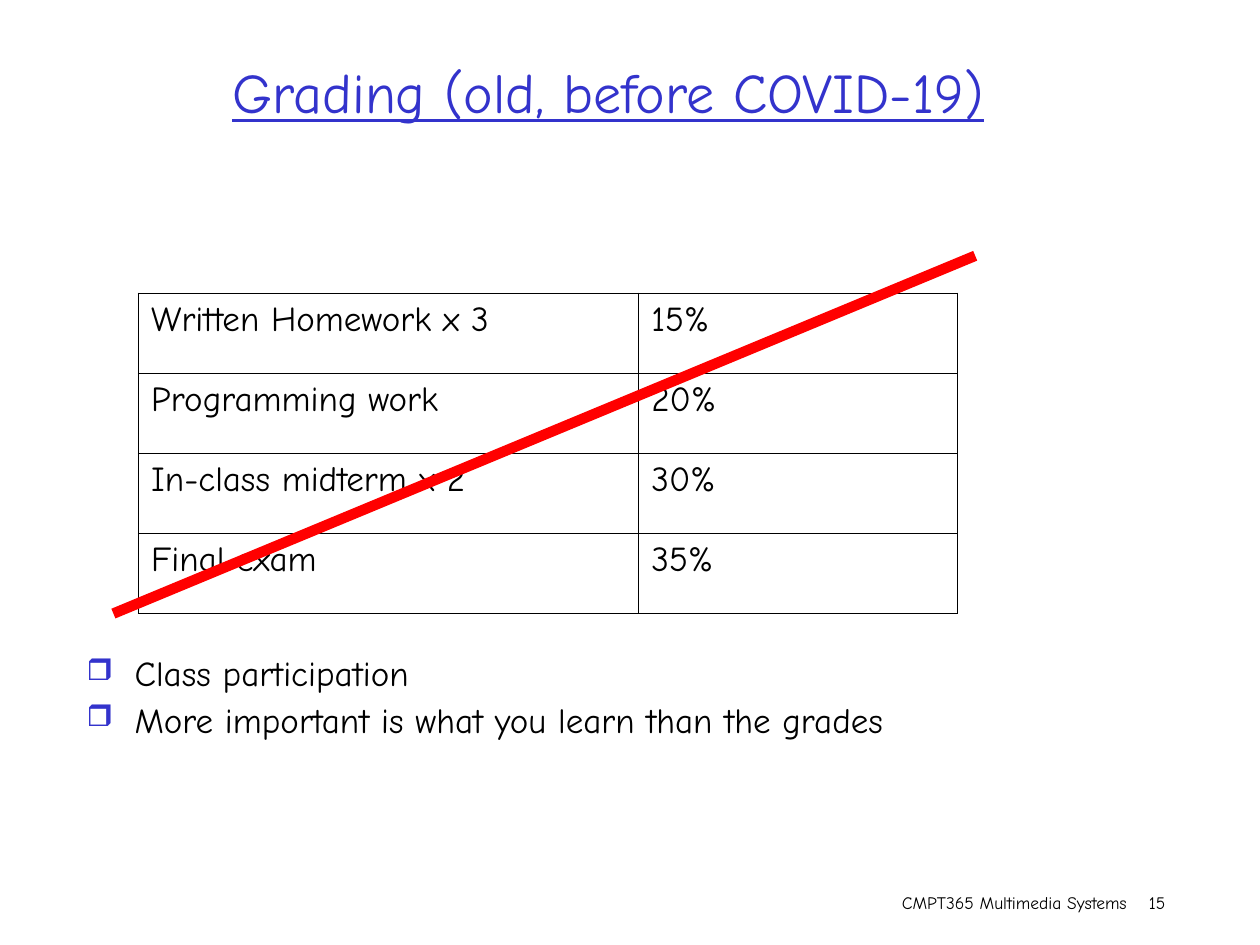
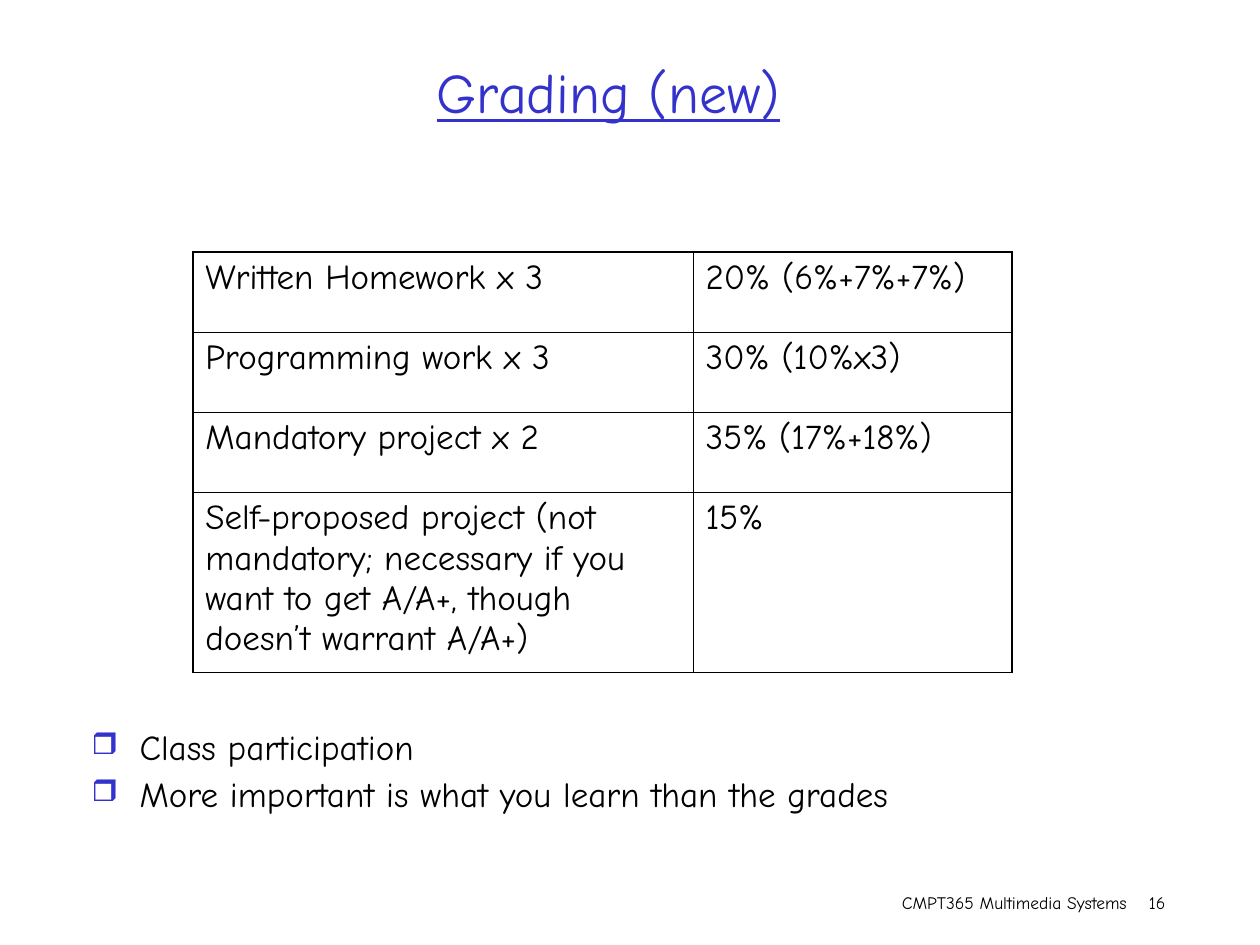
from lxml.etree import SubElement
from pptx import Presentation
from pptx.dml.color import RGBColor
from pptx.enum.shapes import MSO_CONNECTOR
from pptx.enum.text import MSO_ANCHOR, PP_ALIGN
from pptx.oxml import parse_xml
from pptx.oxml.ns import nsdecls, qn
from pptx.util import Inches, Pt

FONT = "Comic Neue"
COLORS = {"title": "3333CC", "text": "000000", "strike": "FF0000"}
COLUMN_WIDTHS = [3.97, 2.53]
ROW_HEIGHT = 2.54 / 4
OUTER_BORDER, INNER_BORDER = 1.08, 0.45
REMARKS = ["Class participation", "More important is what you learn than the grades"]
GRADING_SLIDES = [
    {
        "title": "Grading (old, before COVID-19)",
        "number": 15,
        "table_at": (1.1, 2.33),
        "last_row_height": ROW_HEIGHT,
        "remarks_at": (0.59, 5.16),
        "strike": (0.9, 4.87, 7.74, 2.03),
        "rows": [
            ("Written Homework x 3", "15%"),
            ("Programming work", "20%"),
            ("In-class midterm x 2", "30%"),
            ("Final exam", "35%"),
        ],
    },
    {
        "title": "Grading (new)",
        "number": 16,
        "table_at": (1.53, 2),
        "last_row_height": 1.43,
        "remarks_at": (0.63, 5.75),
        "strike": None,
        "rows": [
            ("Written Homework x 3", "20% (6%+7%+7%)"),
            ("Programming work x 3", "30% (10%x3)"),
            ("Mandatory project x 2", "35% (17%+18%)"),
            ("Self-proposed project (not mandatory; necessary if you "
             "want to get A/A+, though doesn’t warrant A/A+)", "15%"),
        ],
    },
]


def add_run(paragraph, text, size, color="text"):
    run = paragraph.add_run()
    run.text = text
    run.font.name = FONT
    run.font.size = Pt(size)
    run.font.color.rgb = RGBColor.from_string(COLORS[color])
    return run


def add_text_frame(slide, left, top, width, height):
    text_frame = slide.shapes.add_textbox(
        Inches(left), Inches(top), Inches(width), Inches(height)).text_frame
    text_frame.word_wrap = True
    return text_frame


presentation = Presentation()
presentation.slide_width = Inches(10)
presentation.slide_height = Inches(7.5)

for content in GRADING_SLIDES:
    slide = presentation.slides.add_slide(presentation.slide_layouts[6])

    footer = add_text_frame(slide, 7.06, 7.03, 2.79, 0.27).paragraphs[0]
    footer._p.get_or_add_pPr().append(parse_xml(
        f'<a:tabLst {nsdecls("a")}><a:tab pos="{Inches(1.96)}" algn="l"/></a:tabLst>'))
    add_run(footer, f"CMPT365 Multimedia Systems\t{content['number']}", 10)

    title_frame = add_text_frame(slide, 0.58, 0.25, 8.5, 0.95)
    title_frame.vertical_anchor = MSO_ANCHOR.MIDDLE
    title = title_frame.paragraphs[0]
    title.alignment = PP_ALIGN.CENTER
    add_run(title, content["title"], 32, "title").font.underline = True

    remarks_frame = add_text_frame(slide, *content["remarks_at"], 8.74, 0.92)
    for index, remark in enumerate(REMARKS):
        paragraph = remarks_frame.add_paragraph() if index else remarks_frame.paragraphs[0]
        properties = paragraph._p.get_or_add_pPr()
        properties.set("marL", str(Inches(0.38)))
        properties.set("indent", str(-Inches(0.38)))
        bullet_color = SubElement(properties, qn("a:buClr"))
        SubElement(bullet_color, qn("a:srgbClr"), val=COLORS["title"])
        SubElement(properties, qn("a:buSzPct"), val="85000")
        SubElement(properties, qn("a:buChar"), char="❒")
        paragraph.line_spacing = 0.9
        paragraph.space_before = Pt(5 if index else 0)
        add_run(paragraph, remark, 20)

    rows = content["rows"]
    last_row, last_column = len(rows) - 1, len(COLUMN_WIDTHS) - 1
    heights = [ROW_HEIGHT] * last_row + [content["last_row_height"]]
    left, top = content["table_at"]
    table = slide.shapes.add_table(
        len(rows), len(COLUMN_WIDTHS), Inches(left), Inches(top),
        Inches(sum(COLUMN_WIDTHS)), Inches(sum(heights))).table
    table.first_row = False
    table.horz_banding = False
    for column, width in zip(table.columns, COLUMN_WIDTHS):
        column.width = Inches(width)
    for row_index, (texts, height) in enumerate(zip(rows, heights)):
        table.rows[row_index].height = Inches(height)
        for column_index, text in enumerate(texts):
            cell = table.cell(row_index, column_index)
            cell.fill.background()
            add_run(cell.text_frame.paragraphs[0], text, 20)
            outer_sides = {
                "lnL": column_index == 0,
                "lnR": column_index == last_column,
                "lnT": row_index == 0,
                "lnB": row_index == last_row,
            }
            for position, (side, is_outer) in enumerate(outer_sides.items()):
                line_width = Pt(OUTER_BORDER if is_outer else INNER_BORDER)
                cell._tc.get_or_add_tcPr().insert(position, parse_xml(
                    f'<a:{side} {nsdecls("a")} w="{line_width}"><a:solidFill>'
                    f'<a:srgbClr val="{COLORS["text"]}"/></a:solidFill></a:{side}>'))

    if content["strike"]:
        strike = slide.shapes.add_connector(
            MSO_CONNECTOR.STRAIGHT, *[Inches(value) for value in content["strike"]])
        strike.line.color.rgb = RGBColor.from_string(COLORS["strike"])
        strike.line.width = Pt(6)
        SubElement(strike._element.spPr, qn("a:effectLst"))

presentation.save("out.pptx")
